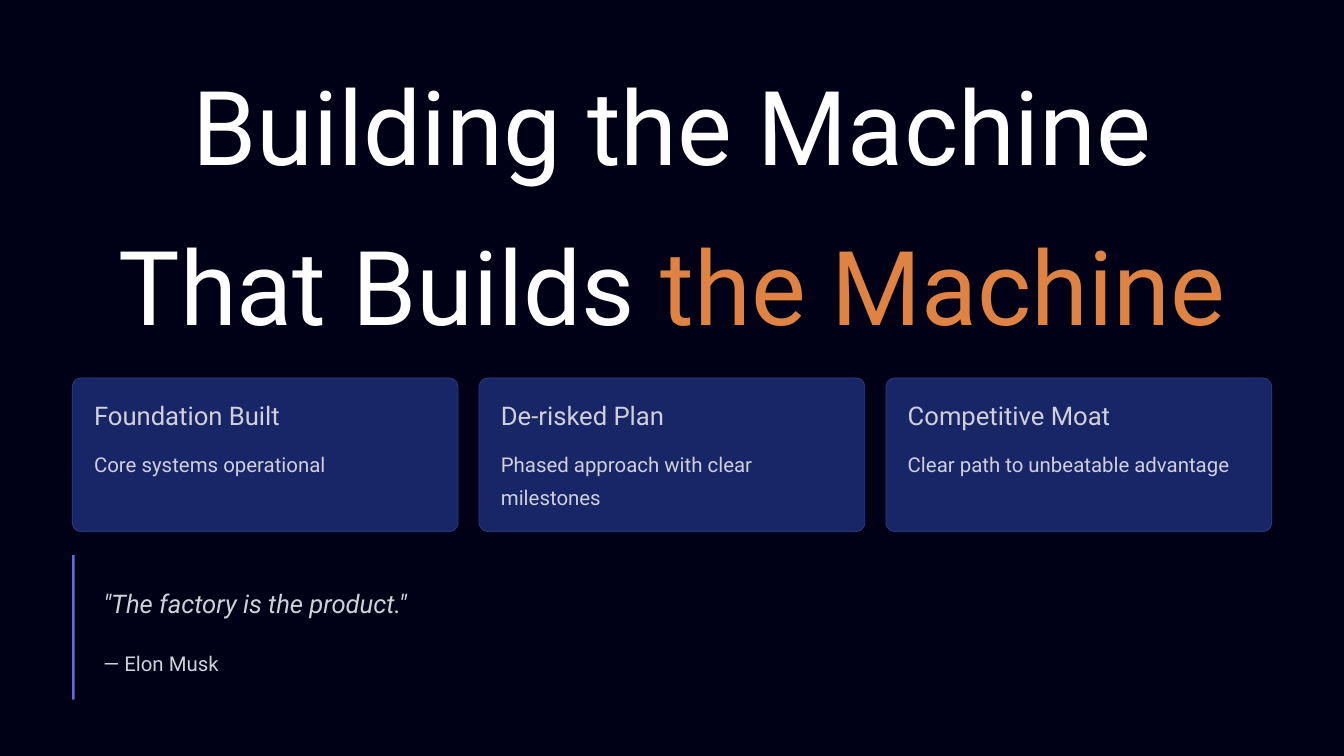
from pptx import Presentation
from pptx.dml.color import RGBColor
from pptx.enum.shapes import MSO_SHAPE as SHAPE
from pptx.enum.text import PP_ALIGN as ALIGN
from pptx.util import Inches, Pt

FONT = "Roboto"
NIGHT, NAVY, EDGE, ACCENT = "000017", "182567", "313E80", "5A6ED8"
WHITE, ORANGE, GREY = "FFFFFF", "DF8344", "CFD0D8"

WIDTH, HEIGHT = 16, 9
MARGIN, GAP, PAD = 0.86, 0.25, 0.26
CARD_W = (WIDTH - 2 * MARGIN - 2 * GAP) / 3
CARD_TOP, CARD_H = HEIGHT / 2, 1.83
QUOTE_LEFT = 1.23
QUOTE_W = WIDTH - MARGIN - QUOTE_LEFT

CARDS = [
    ("Foundation Built", "Core systems operational"),
    ("De-risked Plan", "Phased approach with clear milestones"),
    ("Competitive Moat", "Clear path to unbeatable advantage"),
]


def rgb(value):
    return RGBColor.from_string(value)


def add_text(s, box, parts, size, leading, align=ALIGN.LEFT, italic=False):
    tf = s.shapes.add_textbox(*map(Inches, box)).text_frame
    tf.word_wrap = True
    tf.margin_left = tf.margin_top = tf.margin_right = tf.margin_bottom = 0
    p = tf.paragraphs[0]
    p.alignment = align
    p.line_spacing = Pt(leading)
    for text, color in parts:
        r = p.add_run()
        r.text = text
        r.font.name = FONT
        r.font.size = Pt(size)
        r.font.italic = italic
        r.font.color.rgb = rgb(color)


def add_panel(s, kind, box, fill, line=None):
    sp = s.shapes.add_shape(kind, *map(Inches, box))
    sp.shadow.inherit = False
    sp.fill.solid()
    sp.fill.fore_color.rgb = rgb(fill)
    if line:
        sp.line.color.rgb = rgb(line)
        sp.line.width = Pt(0.6)
    else:
        sp.line.fill.background()
    return sp


def add_title_line(s, top, parts):
    add_text(s, (1.33, top, WIDTH - 2 * 1.33, 1.54), parts, 88.5, 110.5, ALIGN.CENTER)


def add_card(s, column, heading, body):
    left = MARGIN + column * (CARD_W + GAP)
    card = add_panel(s, SHAPE.ROUNDED_RECTANGLE, (left, CARD_TOP, CARD_W, CARD_H), NAVY, EDGE)
    card.adjustments[0] = 0.057
    text_w = CARD_W - 2 * PAD
    add_text(s, (left + PAD, CARD_TOP + 0.25, text_w, 0.39), [(heading, GREY)], 22, 27.5)
    add_text(s, (left + PAD, CARD_TOP + 0.79, text_w, 0.79), [(body, GREY)], 17.5, 28)


def add_quote(s, quote, author):
    add_text(s, (QUOTE_LEFT, 6.88, QUOTE_W, 0.49), [(quote, GREY)], 22, 35, italic=True)
    add_text(s, (QUOTE_LEFT, 7.65, QUOTE_W, 0.39), [(author, GREY)], 17.5, 28)
    add_panel(s, SHAPE.RECTANGLE, (MARGIN, 6.61, 0.03, 1.72), ACCENT)


def main():
    prs = Presentation()
    prs.slide_width, prs.slide_height = Inches(WIDTH), Inches(HEIGHT)
    s = prs.slides.add_slide(prs.slide_layouts[6])
    s.background.fill.solid()
    s.background.fill.fore_color.rgb = rgb(NIGHT)

    add_title_line(s, 0.68, [("Building the Machine", WHITE)])
    add_title_line(s, 2.59, [("That Builds ", WHITE), ("the Machine", ORANGE)])
    for column, (heading, body) in enumerate(CARDS):
        add_card(s, column, heading, body)
    add_quote(s, '"The factory is the product."', "— Elon Musk")

    prs.save("out.pptx")


if __name__ == "__main__":
    main()
